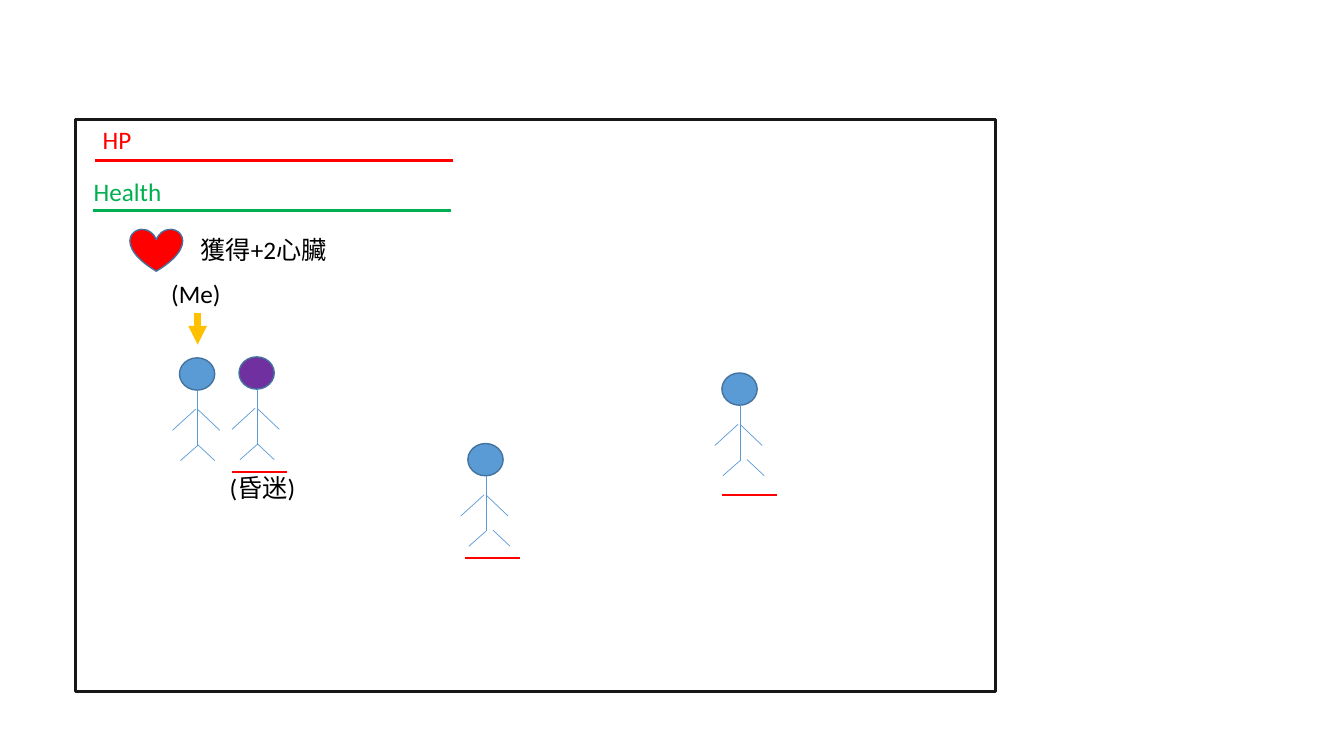
from lxml.etree import SubElement
from pptx import Presentation
from pptx.dml.color import RGBColor
from pptx.enum.shapes import MSO_CONNECTOR as CONNECTOR, MSO_SHAPE as SHAPE
from pptx.enum.text import MSO_AUTO_SIZE as AUTO_SIZE
from pptx.oxml.ns import qn
from pptx.util import Inches, Pt

BLACK = RGBColor(0x00, 0x00, 0x00)
FRAME = RGBColor(0x18, 0x17, 0x17)
RED = RGBColor(0xFF, 0x00, 0x00)
GREEN = RGBColor(0x00, 0xB0, 0x50)
BLUE = RGBColor(0x5B, 0x9B, 0xD5)
OUTLINE = RGBColor(0x43, 0x73, 0x9E)
PURPLE = RGBColor(0x70, 0x30, 0xA0)
GOLD = RGBColor(0xFF, 0xC0, 0x00)

LATIN_FONT = "Calibri"
CHINESE_FONT = "Noto Sans CJK SC"

HEAD_WIDTH, HEAD_HEIGHT = 0.35, 0.32
BAR_WIDTH = 0.55

# Body lines as offsets from the top left of the head
TORSO_AND_LEFT_LEG = [
    ((0.18, 0.32), (0.18, 0.87)),
    ((-0.07, 0.72), (0.16, 0.51)),
    ((0.18, 0.51), (0.4, 0.72)),
    ((0.18, 0.87), (0.01, 1.02)),
]

# Head left, head top, head colour, x of the right hip, health bar offset
FIGURES = [
    (1.78, 3.55, BLUE, 0.18, None),
    (4.64, 4.4, BLUE, 0.25, (-0.03, 1.14)),
    (7.16, 3.7, BLUE, 0.25, (0, 1.21)),
    (2.37, 3.54, PURPLE, 0.18, (-0.07, 1.14)),
]

# Text, left, top, width, colour
LABELS = [
    ("Health", 0.83, 1.7, 1.01, GREEN),
    ("HP", 0.92, 1.18, 0.53, RED),
    ("(Me)", 1.6, 2.71, 1.2, BLACK),
    ("(昏迷)", 2.18, 4.64, 1.2, BLACK),
    ("獲得+2心臟", 1.89, 2.28, 1.77, BLACK),
]


def add_shape(slide, kind, left, top, width, height, fill=None, line=OUTLINE, weight=1):
    shape = slide.shapes.add_shape(
        kind, Inches(left), Inches(top), Inches(width), Inches(height))
    shape.shadow.inherit = False
    if fill is None:
        shape.fill.background()
    else:
        shape.fill.solid()
        shape.fill.fore_color.rgb = fill
    shape.line.color.rgb = line
    shape.line.width = Pt(weight)


def add_line(slide, start, end, color, weight, arrow=False):
    connector = slide.shapes.add_connector(
        CONNECTOR.STRAIGHT, *(Inches(value) for value in (*start, *end)))
    connector.line.color.rgb = color
    connector.line.width = Pt(weight)
    if arrow:
        SubElement(connector.line._get_or_add_ln(), qn("a:tailEnd"), type="triangle")
    SubElement(connector._element.spPr, qn("a:effectLst"))


def add_text(slide, text, left, top, width, height=0.4, size=18, color=BLACK):
    box = slide.shapes.add_textbox(
        Inches(left), Inches(top), Inches(width), Inches(height))
    frame = box.text_frame
    frame.word_wrap = True
    frame.auto_size = AUTO_SIZE.SHAPE_TO_FIT_TEXT
    run = frame.paragraphs[0].add_run()
    run.text = text
    run.font.size = Pt(size)
    run.font.name = LATIN_FONT
    run.font.color.rgb = color
    SubElement(run.font._element, qn("a:ea"), typeface=CHINESE_FONT)


def add_figure(slide, left, top, head_color, right_hip, bar):
    add_shape(slide, SHAPE.OVAL, left, top, HEAD_WIDTH, HEAD_HEIGHT, fill=head_color)
    right_leg = ((right_hip + 0.17, 1.02), (right_hip, 0.86))
    for (x1, y1), (x2, y2) in TORSO_AND_LEFT_LEG + [right_leg]:
        add_line(slide, (left + x1, top + y1), (left + x2, top + y2), BLUE, 0.5)
    if bar:
        x, y = left + bar[0], top + bar[1]
        add_line(slide, (x, y), (x + BAR_WIDTH, y), RED, 1.5)


def main():
    presentation = Presentation()
    presentation.slide_width = Inches(13.33)
    presentation.slide_height = Inches(7.5)
    slide = presentation.slides.add_slide(presentation.slide_layouts[6])

    add_shape(slide, SHAPE.RECTANGLE, 0.75, 1.19, 9.12, 5.67, line=FRAME, weight=2.25)
    add_line(slide, (0.94, 1.59), (4.49, 1.59), RED, 2.25)
    add_line(slide, (0.92, 2.09), (4.47, 2.09), GREEN, 2.25)
    for figure in FIGURES:
        add_figure(slide, *figure)
    add_line(slide, (1.96, 3.11), (1.96, 3.42), GOLD, 4.5, arrow=True)
    add_shape(slide, SHAPE.HEART, 1.29, 2.27, 0.52, 0.42, fill=RED)
    for text, left, top, width, color in LABELS:
        add_text(slide, text, left, top, width, color=color)

    presentation.save("out.pptx")


if __name__ == "__main__":
    main()
